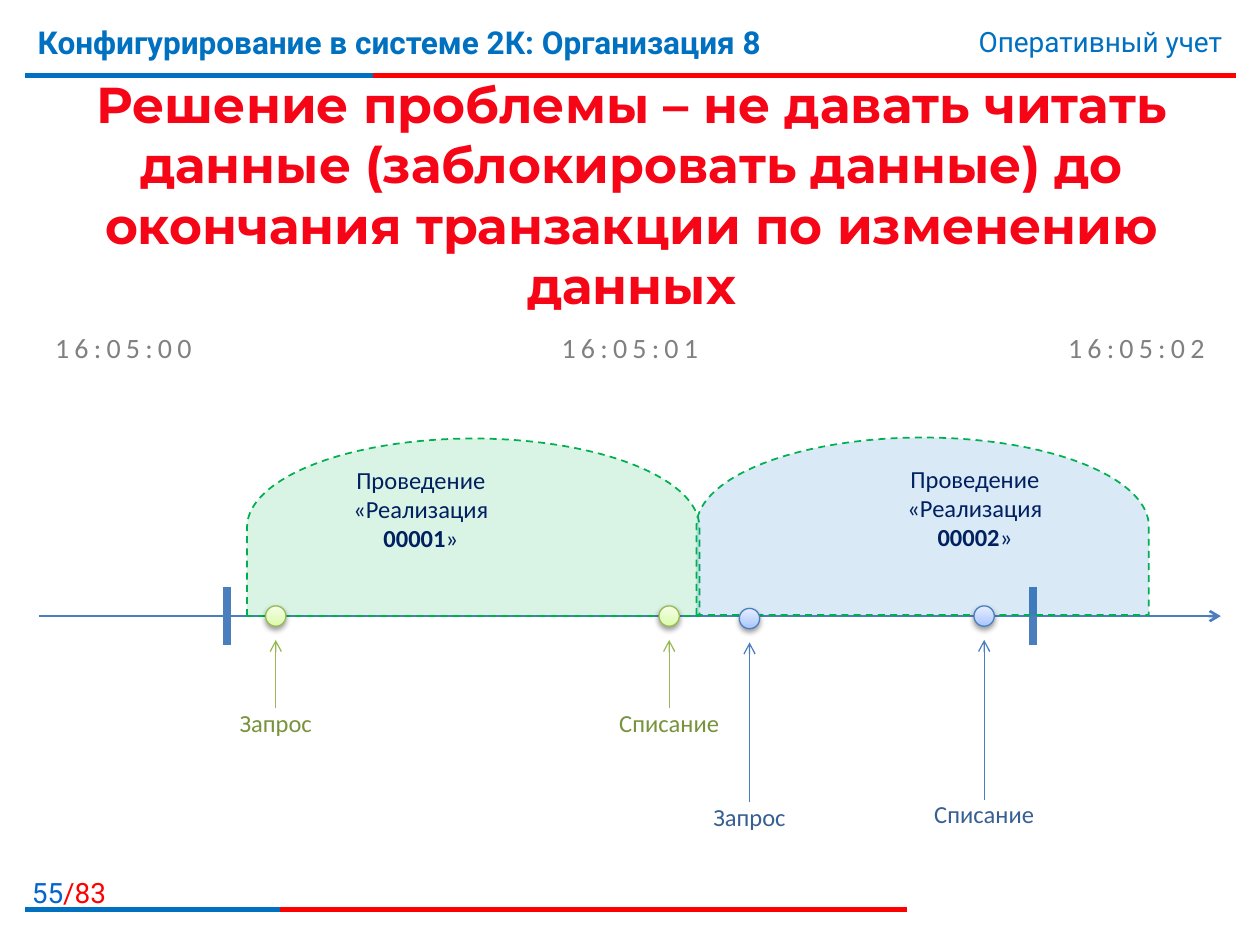
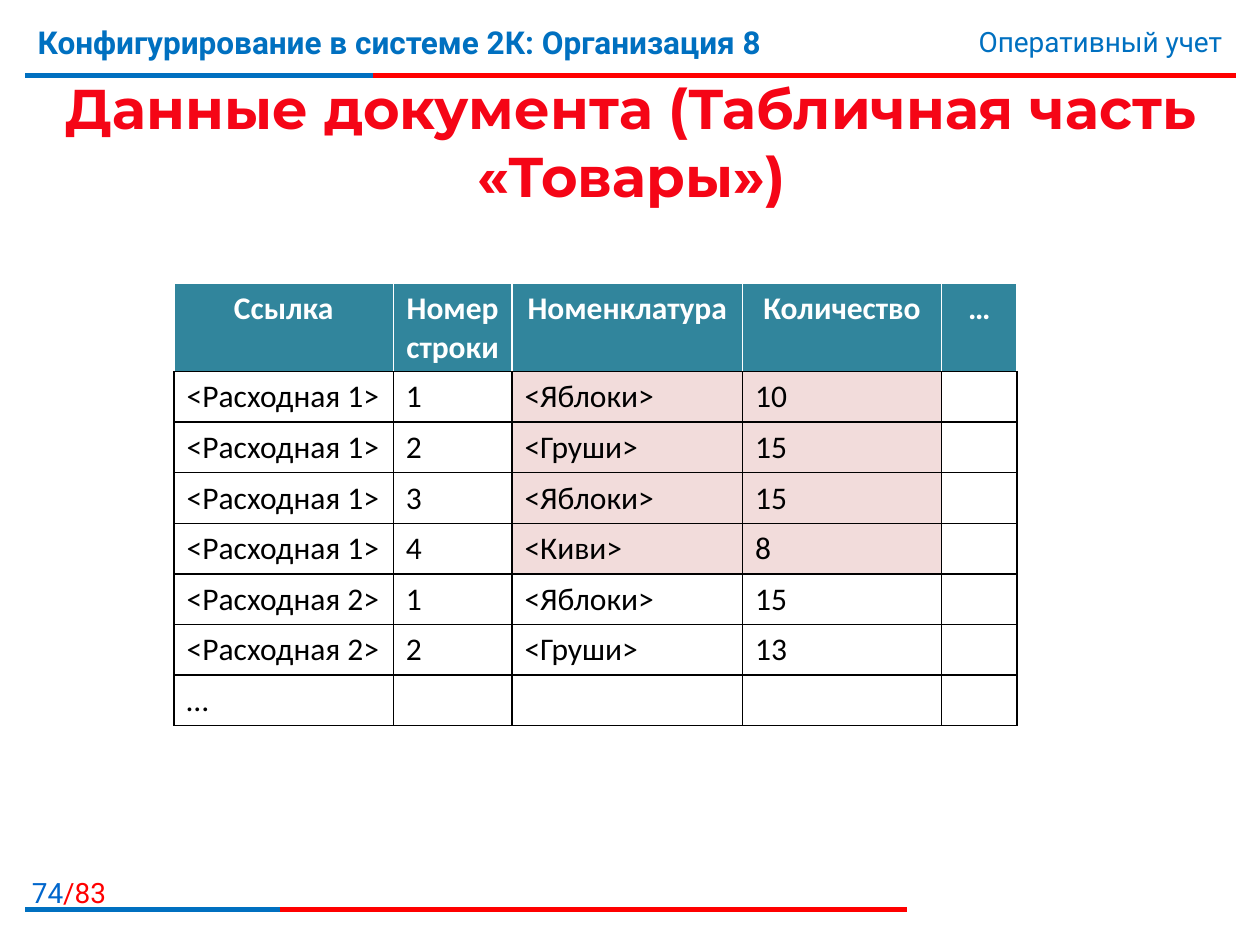
from dataclasses import dataclass

from lxml import etree
from pptx import Presentation
from pptx.dml.color import RGBColor
from pptx.enum.dml import MSO_LINE
from pptx.enum.shapes import MSO_CONNECTOR, MSO_SHAPE
from pptx.enum.text import MSO_ANCHOR, PP_ALIGN
from pptx.oxml.ns import qn
from pptx.util import Cm, Pt

LEFT, CENTER, RIGHT = PP_ALIGN.LEFT, PP_ALIGN.CENTER, PP_ALIGN.RIGHT
TOP, MIDDLE = MSO_ANCHOR.TOP, MSO_ANCHOR.MIDDLE
STRAIGHT = MSO_CONNECTOR.STRAIGHT
DASH = MSO_LINE.DASH
DELAY, OVAL = MSO_SHAPE.FLOWCHART_DELAY, MSO_SHAPE.OVAL


@dataclass(frozen=True)
class Theme:
    brand_font: str = "Roboto"
    title_font: str = "Montserrat"
    body_font: str = "Calibri"
    blue: str = "0070C0"
    red: str = "FF0000"
    page_blue: str = "0066CC"
    title_red: str = "F50516"
    axis: str = "4B7EBC"
    time_gray: str = "808080"
    navy: str = "002060"
    green: str = "00B050"
    white: str = "FFFFFF"
    black: str = "000000"
    table_head: str = "31859C"
    table_mark: str = "F2DCDB"
    course_size: float = 18
    small_size: float = 16
    label_size: float = 14
    table_size: float = 18


@dataclass(frozen=True)
class EventStyle:
    text: str
    line: str
    gradient: tuple  # (position in percent, colour)


THEME = Theme()
GREEN_EVENT = EventStyle("77933C", "98B955",
                         ((0, "DAFDA7"), (35, "E4FCC2"), (100, "F5FFE7")))
BLUE_EVENT = EventStyle("376092", "4B7EBC",
                        ((0, "A4C4FF"), (35, "BFD4FF"), (100, "E6EEFF")))

PAGE_TOTAL = 83
AXIS_Y = 12.42
AXIS_LEFT, AXIS_RIGHT = 0.79, 24.61
DOT = 0.41

TABLE_COLUMNS = (4.42, 2.39, 4.65, 4.01, 1.52)
TABLE_HEAD = ("Ссылка", "Номер строки", "Номенклатура", "Количество", "…")
TABLE_ROWS = (
    ("<Расходная 1>", "1", "<Яблоки>", "10", ""),
    ("<Расходная 1>", "2", "<Груши>", "15", ""),
    ("<Расходная 1>", "3", "<Яблоки>", "15", ""),
    ("<Расходная 1>", "4", "<Киви>", "8", ""),
    ("<Расходная 2>", "1", "<Яблоки>", "15", ""),
    ("<Расходная 2>", "2", "<Груши>", "13", ""),
    ("…", "", "", "", ""),
)


# Basic elements

def rgb(color):
    return RGBColor.from_string(color)


def add_span(para, text, font, size, color, bold=False, spacing=None):
    span = para.add_run()
    span.text = text
    span.font.name = font
    span.font.size = Pt(size)
    span.font.bold = bold
    span.font.color.rgb = rgb(color)
    if spacing:
        span.font._element.set("spc", str(spacing * 100))


def add_text(page, left, top, width, height, align, wrap=True, anchor=TOP):
    """Adds a text box and returns its first paragraph."""
    box = page.shapes.add_textbox(Cm(left), Cm(top), Cm(width), Cm(height))
    frame = box.text_frame
    frame.word_wrap = wrap
    frame.vertical_anchor = anchor
    para = frame.paragraphs[0]
    para.alignment = align
    return para


def add_line(page, start, end, color, width, arrow=False):
    line = page.shapes.add_connector(
        STRAIGHT, Cm(start[0]), Cm(start[1]), Cm(end[0]), Cm(end[1]))
    line.line.color.rgb = rgb(color)
    line.line.width = Pt(width)
    properties = line._element.spPr
    if arrow:
        etree.SubElement(properties.find(qn("a:ln")), qn("a:tailEnd"), type="arrow")
    etree.SubElement(properties, qn("a:effectLst"))


def add_color(parent, color, alpha=None):
    node = etree.SubElement(parent, qn("a:srgbClr"), val=color)
    if alpha:
        etree.SubElement(node, qn("a:alpha"), val=str(alpha * 1000))


# Parts shared by the slides

def add_rule(page, y, right, blue_right):
    for end, color in ((right, THEME.red), (blue_right, THEME.blue)):
        add_line(page, (0.51, y), (end, y), color, 3)


def add_page(deck, number, title, title_size, title_height):
    page = deck.slides.add_slide(deck.slide_layouts[6])
    add_rule(page, 1.52, 24.92, 7.52)
    para = add_text(page, 0, 17.53, 2.39, 0.81, RIGHT)
    for text, color in ((str(number), THEME.page_blue),
                        (f"/{PAGE_TOTAL}", THEME.red)):
        add_span(para, text, THEME.brand_font, THEME.small_size, color)
    add_rule(page, 18.34, 18.29, 5.64)

    para = add_text(page, 0.51, 0.33, 18.8, 1.57, LEFT)
    add_span(para, "Конфигурирование в системе 2К: Организация 8",
             THEME.brand_font, THEME.course_size, THEME.blue, bold=True)
    para = add_text(page, 15.09, 0.38, 9.8, 0.94, RIGHT)
    add_span(para, "Оперативный учет", THEME.brand_font, THEME.small_size, THEME.blue)

    para = add_text(page, 0.53, 1.6, 24.41, title_height, CENTER, anchor=MIDDLE)
    add_span(para, title, THEME.title_font, title_size, THEME.title_red, bold=True)
    return page


# Timeline

def add_axis(page):
    add_line(page, (AXIS_LEFT, AXIS_Y), (AXIS_RIGHT, AXIS_Y), THEME.axis, 1.5, arrow=True)
    for x in (4.57, 20.83):
        add_line(page, (x, AXIS_Y - 0.59), (x, AXIS_Y + 0.59), THEME.axis, 4.5)


def add_times(page):
    for index in range(3):
        para = add_text(page, AXIS_LEFT + index * 10.21, 6.53, 3.4, 0.94, CENTER, wrap=False)
        add_span(para, f"16:05:0{index}", THEME.body_font, THEME.small_size,
                 THEME.time_gray, spacing=3)


def add_posting(page, left, top, fill, number, inset_top, inset_bottom):
    """Dome standing on the axis; its text runs upright in the turned shape."""
    dome = page.shapes.add_shape(DELAY, Cm(left), Cm(top), Cm(3.58), Cm(9.12))
    dome.rotation = 270
    dome.shadow.inherit = False
    dome.fill.solid()
    dome.fill.fore_color.rgb = rgb(fill)
    color = dome._element.spPr.find(qn("a:solidFill")).find(qn("a:srgbClr"))
    etree.SubElement(color, qn("a:alpha"), val="15000")
    dome.line.color.rgb = rgb(THEME.green)
    dome.line.width = Pt(1)
    dome.line.dash_style = DASH

    frame = dome.text_frame
    frame.word_wrap = True
    frame.vertical_anchor = TOP
    frame.margin_left = frame.margin_right = 0
    frame.margin_top, frame.margin_bottom = Cm(inset_top), Cm(inset_bottom)
    frame._txBody.bodyPr.set("vert", "vert")
    lines = ((("Проведение", False),),
             (("«Реализация ", False), (number, True), ("»", False)))
    for index, spans in enumerate(lines):
        para = frame.add_paragraph() if index else frame.paragraphs[0]
        para.alignment = CENTER
        for text, bold in spans:
            add_span(para, text, THEME.body_font, THEME.label_size, THEME.navy, bold)


def add_dot(page, x, y, style):
    dot = page.shapes.add_shape(
        OVAL, Cm(x - DOT / 2), Cm(y - DOT / 2), Cm(DOT), Cm(DOT))
    dot.line.color.rgb = rgb(style.line)
    dot.line.width = Pt(0.75)
    dot.fill.gradient()
    dot.fill.gradient_angle = 90
    properties = dot._element.spPr
    stops = properties.find(qn("a:gradFill")).find(qn("a:gsLst"))
    for stop in list(stops):
        stops.remove(stop)
    for position, color in style.gradient:
        add_color(etree.SubElement(stops, qn("a:gs"), pos=str(position * 1000)), color)

    dot.shadow.inherit = False
    shadow = etree.SubElement(
        properties.find(qn("a:effectLst")), qn("a:outerShdw"),
        blurRad=str(Pt(3.1)), dist=str(Pt(1.6)), dir="5400000", rotWithShape="0")
    add_color(shadow, THEME.black, alpha=38)


def add_event(page, label, x, y, drop, style):
    """Dot at (x, y) with an arrow rising to it from a label below."""
    label_top = y + drop
    para = add_text(page, x - 1.27, label_top, 2.54, 0.86, CENTER, wrap=False)
    add_span(para, label, THEME.body_font, THEME.label_size, style.text)
    add_line(page, (x, label_top + 0.13), (x, y + 0.48), style.line, 0.75, arrow=True)
    add_dot(page, x, y, style)


# Table

def set_borders(cell, colors):
    """Colours go left, right, top, bottom."""
    properties = cell._tc.get_or_add_tcPr()
    for side, color in zip("LRTB", colors):
        border = etree.SubElement(properties, qn(f"a:ln{side}"), w=str(Pt(1)))
        add_color(etree.SubElement(border, qn("a:solidFill")), color)


def fill_cell(cell, text, fill, color, borders, align=LEFT, bold=False):
    set_borders(cell, borders)
    cell.fill.solid()
    cell.fill.fore_color.rgb = rgb(fill)
    para = cell.text_frame.paragraphs[0]
    para.alignment = align
    if text:
        add_span(para, text, THEME.body_font, THEME.table_size, color, bold)


def add_goods_table(page):
    frame = page.shapes.add_table(
        len(TABLE_ROWS) + 1, len(TABLE_COLUMNS), Cm(3.51), Cm(5.71),
        Cm(sum(TABLE_COLUMNS)), Cm(1.78 + 1.02 * len(TABLE_ROWS)))
    table = frame.table
    table.horz_banding = False
    for column, width in zip(table.columns, TABLE_COLUMNS):
        column.width = Cm(width)
    for index, row in enumerate(table.rows):
        row.height = Cm(1.02 if index else 1.78)

    head_borders = (THEME.white,) * 3 + (THEME.black,)
    for column, text in enumerate(TABLE_HEAD):
        fill_cell(table.cell(0, column), text, THEME.table_head, THEME.white,
                  head_borders, CENTER, bold=True)
    for row, values in enumerate(TABLE_ROWS, start=1):
        for column, text in enumerate(values):
            marked = row <= 4 and column in (2, 3)
            fill = THEME.table_mark if marked else THEME.white
            fill_cell(table.cell(row, column), text, fill, THEME.black, (THEME.black,) * 4)


# Slides

def build_locking(deck):
    page = add_page(deck, 55, "Решение проблемы – не давать читать данные "
                    "(заблокировать данные) до окончания транзакции по изменению данных",
                    28.8, 4.62)
    add_axis(page)
    add_posting(page, 7.75, 6.07, THEME.green, "00001", 0, 2.11)
    add_times(page)
    add_posting(page, 16.81, 6.05, THEME.blue, "00002", 2.11, 0)
    add_event(page, "Запрос", 5.56, AXIS_Y, 1.73, GREEN_EVENT)
    add_event(page, "Списание", 13.49, AXIS_Y, 1.73, GREEN_EVENT)
    add_event(page, "Запрос", 15.11, AXIS_Y + 0.05, 3.57, BLUE_EVENT)
    add_event(page, "Списание", 19.84, AXIS_Y, 3.57, BLUE_EVENT)


def build_goods(deck):
    page = add_page(deck, 74, "Данные документа (Табличная часть «Товары»)", 32, 2.49)
    add_goods_table(page)


def main():
    deck = Presentation()
    deck.slide_width, deck.slide_height = Cm(25.4), Cm(19.05)
    build_locking(deck)
    build_goods(deck)
    deck.save("out.pptx")


if __name__ == "__main__":
    main()
